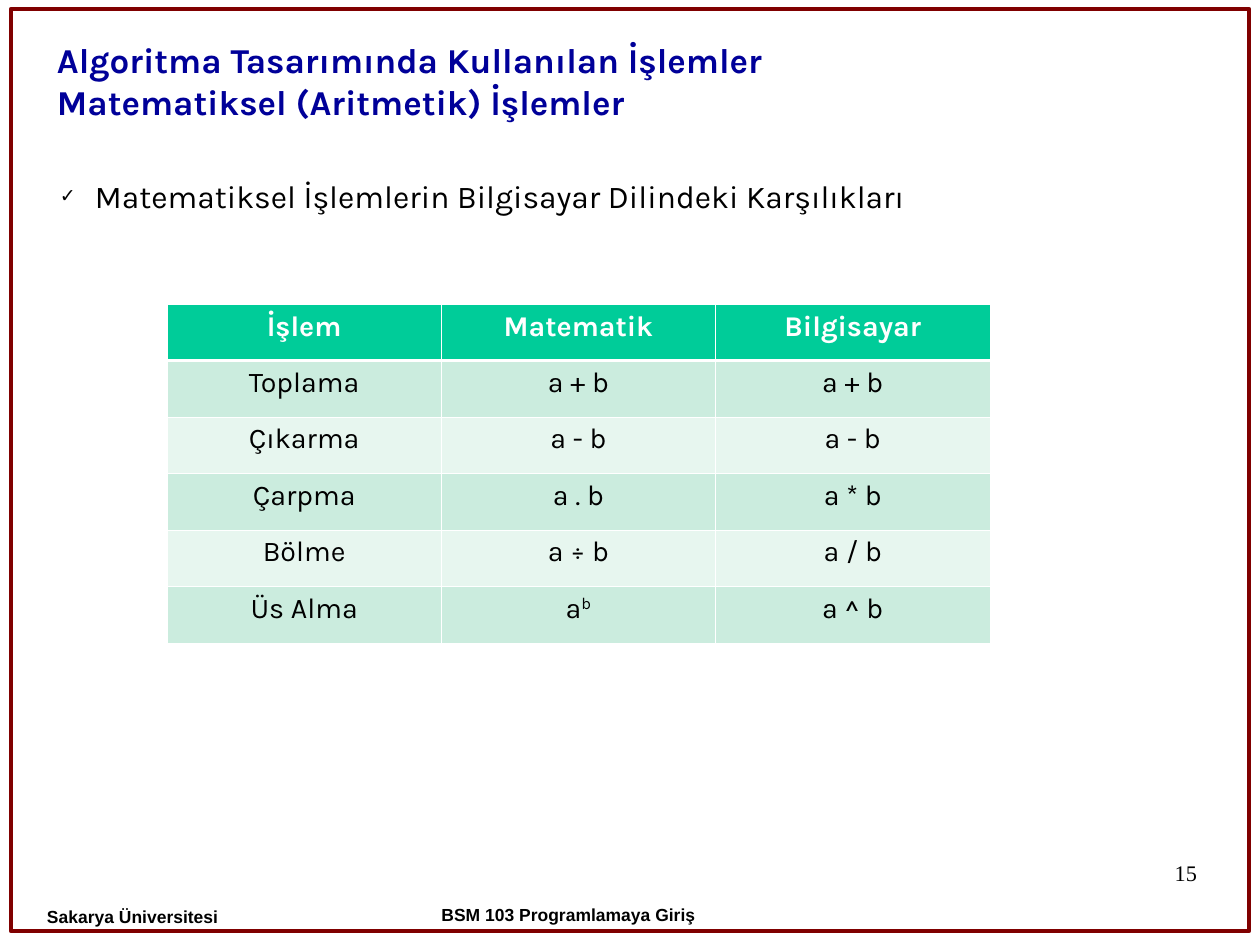
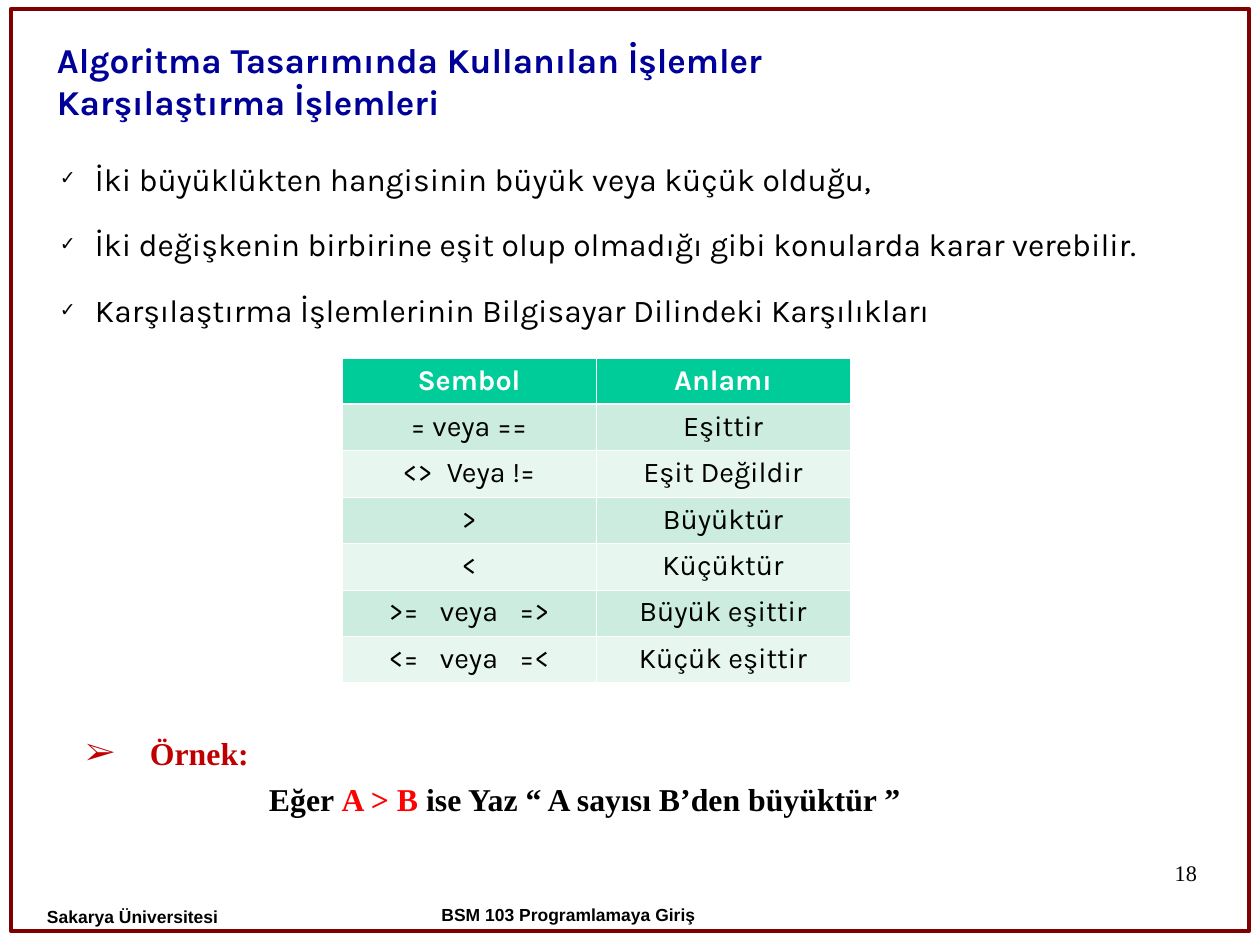
import pptx
import pptx.dml.color
import pptx.enum.shapes
import pptx.enum.text
import pptx.oxml
import pptx.oxml.ns
import pptx.util
from lxml import etree

# EMU per px
PX = 8000
SLIDE_WIDTH, SLIDE_HEIGHT = 1260, 945

RGB = pptx.dml.color.RGBColor
MAROON = RGB(0x80, 0x00, 0x00)
NAVY = RGB(0x00, 0x00, 0x99)
BLACK = RGB(0x00, 0x00, 0x00)
WHITE = RGB(0xFF, 0xFF, 0xFF)
GREEN = RGB(0x00, 0xCC, 0x99)
BAND_DARK = RGB(0xCB, 0xEC, 0xDE)
BAND_LIGHT = RGB(0xE7, 0xF6, 0xEF)
CRIMSON = RGB(0xC0, 0x00, 0x00)
RED = RGB(0xFF, 0x00, 0x00)

BODY_FONT = "Karla"
SERIF_FONT = "Times New Roman"
FOOTER_FONT = "Arial"
FOOTER_MARGINS = (25, 21, 25, 0)

ALIGN = pptx.enum.text.PP_ALIGN
ANCHOR = pptx.enum.text.MSO_ANCHOR
TITLE_TOPIC = "Algoritma Tasarımında Kullanılan İşlemler"

# Gaps inside table cells, as extra width of one space in points
WIDE_GAP = (" ", {"gap": 9.2})
SMALL_GAP = (" ", {"gap": 4.6})


def px(length):
    return pptx.util.Emu(length * PX)


def add_sub(parent, tag, **attributes):
    child = etree.SubElement(parent, pptx.oxml.ns.qn(tag))
    for name, value in attributes.items():
        child.set(name, str(value))
    return child


def set_font(font, name, size, color, bold=False):
    font.name = name
    font.size = pptx.util.Pt(size)
    font.bold = bold
    font.color.rgb = color


def set_bullet(paragraph, symbol, font_name, color, percent=100):
    properties = paragraph._p.get_or_add_pPr()
    add_sub(add_sub(properties, "a:buClr"), "a:srgbClr", val=color)
    add_sub(properties, "a:buSzPct", val=percent * 1000)
    add_sub(properties, "a:buFont", typeface=font_name)
    add_sub(properties, "a:buChar", char=symbol)


def set_indent(paragraph, left, first=0):
    properties = paragraph._p.get_or_add_pPr()
    properties.set("marL", str(px(left)))
    properties.set("indent", str(px(first)))


def add_runs(paragraph, parts):
    """Parts are a string, or a list of (text, options) pairs."""
    for text, options in [(parts, {})] if isinstance(parts, str) else parts:
        run = paragraph.add_run()
        run.text = text
        if "color" in options:
            run.font.color.rgb = options["color"]
        if "gap" in options:
            run._r.get_or_add_rPr().set("spc", str(round(options["gap"] * 100)))
        if "raised" in options:
            run._r.get_or_add_rPr().set("baseline", str(options["raised"] * 1000))


def add_text(slide, box, lines, font, align=ALIGN.LEFT, anchor=ANCHOR.TOP,
             margins=(11, 6, 11, 6), spacing=None, bullets=()):
    """Put lines in a text box; bullets hold set_bullet arguments per line."""
    frame = slide.shapes.add_textbox(*map(px, box)).text_frame
    frame.word_wrap = True
    frame.auto_size = pptx.enum.text.MSO_AUTO_SIZE.NONE
    frame.vertical_anchor = anchor
    (frame.margin_left, frame.margin_top,
     frame.margin_right, frame.margin_bottom) = map(px, margins)
    for index, parts in enumerate(lines):
        paragraph = frame.add_paragraph() if index else frame.paragraphs[0]
        paragraph.alignment = align
        if spacing:
            paragraph.line_spacing = spacing
        if index < len(bullets):
            set_bullet(paragraph, *bullets[index])
        set_font(paragraph.font, *font)
        add_runs(paragraph, parts)
    return frame.paragraphs


def add_base(prs, subtitle, number):
    """Slide with the frame, title, footers and page number."""
    slide = prs.slides.add_slide(prs.slide_layouts[6])
    border = slide.shapes.add_shape(
        pptx.enum.shapes.MSO_SHAPE.ROUNDED_RECTANGLE, *map(px, (11, 9, 1238, 922)))
    border.adjustments[0] = 0
    border.shadow.inherit = False
    border.fill.background()
    border.line.color.rgb = MAROON
    border.line.width = pptx.util.Pt(2.83)

    add_text(slide, (903, 861, 294, 65), [str(number)], (SERIF_FONT, 14, BLACK),
             ALIGN.RIGHT, margins=(0, 0, 0, 0), spacing=0.95)
    footer_font = (FOOTER_FONT, 11, BLACK, True)
    add_text(slide, (22, 887, 270, 62), ["Sakarya Üniversitesi"], footer_font,
             margins=FOOTER_MARGINS, spacing=0.93)
    add_text(slide, (355, 887, 427, 58), ["BSM 103 Programlamaya Giriş"], footer_font,
             ALIGN.CENTER, margins=FOOTER_MARGINS, spacing=0.83)
    add_text(slide, (44, 52, 1008, 77), [TITLE_TOPIC, subtitle],
             (BODY_FONT, 22, NAVY, True), anchor=ANCHOR.BOTTOM, margins=(13, 7, 13, 7))
    return slide


def add_checklist(slide, top, height, items):
    check = ("✓", BODY_FONT, BLACK, 60)
    paragraphs = add_text(slide, (0, top, 1176, height), items, (BODY_FONT, 20, BLACK),
                          ALIGN.JUSTIFY, ANCHOR.MIDDLE, spacing=1.04,
                          bullets=[check] * len(items))
    for index, paragraph in enumerate(paragraphs):
        set_indent(paragraph, 84, -35)
        if index:
            paragraph.space_before = pptx.util.Pt(16.4)


def set_borders(cell, row):
    properties = cell._tc.get_or_add_tcPr()
    thick_sides = {0: "a:lnB", 1: "a:lnT"}
    for side in ("a:lnL", "a:lnR", "a:lnT", "a:lnB"):
        width = 1.47 if thick_sides.get(row) == side else 0.45
        edge = add_sub(properties, side, w=pptx.util.Pt(width))
        add_sub(add_sub(edge, "a:solidFill"), "a:srgbClr", val=WHITE)


def add_operations_table(slide, box, rows):
    table = slide.shapes.add_table(len(rows), len(rows[0]), *map(px, box)).table
    table.horz_banding = False
    for r, row in enumerate(rows):
        for c, parts in enumerate(row):
            cell = table.cell(r, c)
            set_borders(cell, r)
            cell.fill.solid()
            cell.fill.fore_color.rgb = (
                GREEN if r == 0 else BAND_DARK if r % 2 else BAND_LIGHT)
            paragraph = cell.text_frame.paragraphs[0]
            paragraph.alignment = ALIGN.CENTER
            add_runs(paragraph, parts)
            set_font(paragraph.font, BODY_FONT, 18, BLACK if r else WHITE, r == 0)


def add_example(slide):
    heading, statement = add_text(
        slide, (75, 728, 990, 119),
        [[("Örnek:", {"color": CRIMSON})],
         [("Eğer ", {}), ("A > B ", {"color": RED}),
          ("ise Yaz “ A sayısı B’den büyüktür ”", {})]],
        (SERIF_FONT, 20, BLACK, True), ALIGN.JUSTIFY,
        bullets=[("➢", SERIF_FONT, CRIMSON)])
    set_indent(heading, 64, -64)
    set_indent(statement, 183)
    statement.space_before = pptx.util.Pt(5)


def main():
    prs = pptx.Presentation()
    prs.slide_width, prs.slide_height = px(SLIDE_WIDTH), px(SLIDE_HEIGHT)

    # Arithmetic operations
    arithmetic = add_base(prs, "Matematiksel (Aritmetik) İşlemler", 15)
    add_checklist(arithmetic, 170, 51,
                  ["Matematiksel İşlemlerin Bilgisayar Dilindeki Karşılıkları"])
    add_operations_table(arithmetic, (167, 304, 823, 339), [
        ("İşlem", "Matematik", "Bilgisayar"),
        ("Toplama", "a + b", "a + b"),
        ("Çıkarma", "a - b", "a - b"),
        ("Çarpma", "a . b", "a * b"),
        ("Bölme", "a ÷ b", "a / b"),
        ("Üs Alma", [("a", {}), ("b", {"raised": 30})], "a ^ b"),
    ])

    # Comparison operations
    comparison = add_base(prs, "Karşılaştırma İşlemleri", 18)
    add_checklist(comparison, 152, 183, [
        "İki büyüklükten hangisinin büyük veya küçük olduğu,",
        "İki değişkenin birbirine eşit olup olmadığı gibi konularda karar verebilir.",
        "Karşılaştırma İşlemlerinin Bilgisayar Dilindeki Karşılıkları",
    ])
    add_operations_table(comparison, (342, 358, 508, 325), [
        ("Sembol", "Anlamı"),
        ("= veya ==", "Eşittir"),
        ([("<>", {}), SMALL_GAP, ("Veya !=", {})], "Eşit Değildir"),
        (">", "Büyüktür"),
        ("<", "Küçüktür"),
        ([(">=", {}), WIDE_GAP, ("veya", {}), WIDE_GAP, ("=>", {})], "Büyük eşittir"),
        ([("<=", {}), WIDE_GAP, ("veya", {}), WIDE_GAP, ("=<", {})], "Küçük eşittir"),
    ])
    add_example(comparison)

    prs.save("out.pptx")


if __name__ == "__main__":
    main()
